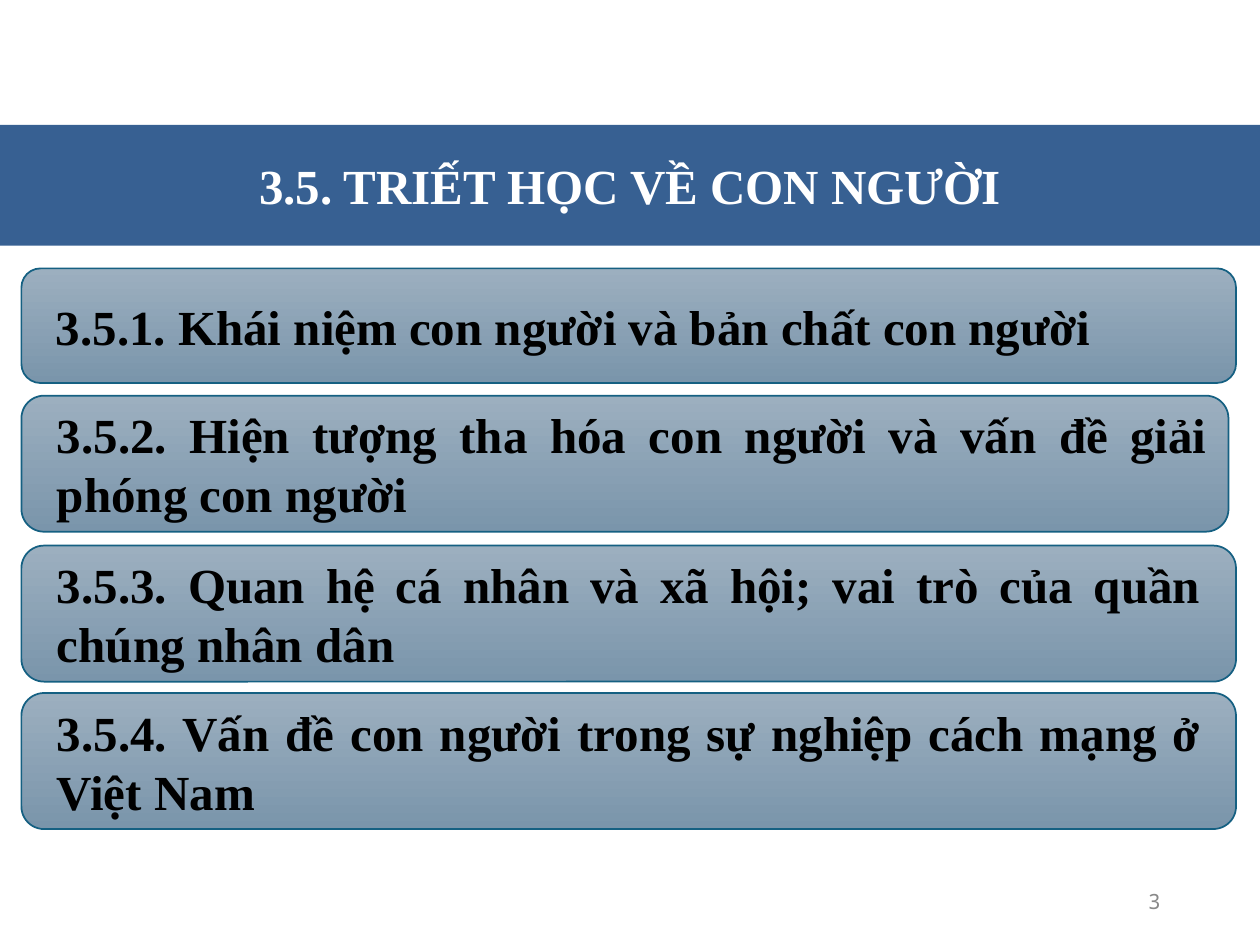
from pptx import Presentation
from pptx.dml.color import RGBColor
from pptx.enum.shapes import MSO_SHAPE as Shape
from pptx.enum.text import MSO_ANCHOR as Anchor, MSO_AUTO_SIZE as AutoSize, PP_ALIGN as Align
from pptx.util import Inches, Pt

WHITE = RGBColor(0xFF, 0xFF, 0xFF)
BLACK = RGBColor(0x00, 0x00, 0x00)
GRAY = RGBColor(0x89, 0x89, 0x89)
BANNER_BLUE = RGBColor(0x37, 0x60, 0x92)
CARD_TOP = RGBColor(0x9C, 0xAF, 0xBF)
CARD_BOTTOM = RGBColor(0x7A, 0x95, 0xAB)
CARD_LINE = RGBColor(0x15, 0x60, 0x82)

SLIDE_WIDTH, SLIDE_HEIGHT = 10, 7.5
CARD_LEFT, CARD_WIDTH = 0.17, 9.64
TEXT_INSET = 0.23

SECTIONS = [
    ("3.5.1. Khái niệm con người và bản chất con người",
     2.13, 0.91, {"align": Align.LEFT}),
    ("3.5.2. Hiện tượng tha hóa con người và vấn đề giải phóng con người",
     3.14, 1.08, {"width": 9.58, "right_inset": 0.12}),
    ("3.5.3. Quan hệ cá nhân và xã hội; vai trò của quần chúng nhân dân",
     4.33, 1.08, {}),
    ("3.5.4. Vấn đề con người trong sự nghiệp cách mạng ở Việt Nam",
     5.5, 1.08, {}),
]


def box(left, top, width, height):
    return [Inches(length) for length in (left, top, width, height)]


def write_text(shape, text, *, size=28, font="Times New Roman", color=BLACK,
               bold=True, align=Align.LEFT, insets=(0.1, 0.05, 0.1, 0.05)):
    frame = shape.text_frame
    frame.word_wrap = True
    frame.auto_size = AutoSize.NONE
    frame.vertical_anchor = Anchor.MIDDLE
    (frame.margin_left, frame.margin_top,
     frame.margin_right, frame.margin_bottom) = map(Inches, insets)
    paragraph = frame.paragraphs[0]
    paragraph.alignment = align
    run = paragraph.add_run()
    run.text = text
    run.font.name = font
    run.font.size = Pt(size)
    run.font.bold = bold
    run.font.color.rgb = color


def add_banner(slide, text):
    title = slide.shapes.title
    title.left, title.top, title.width, title.height = box(0, 0.99, SLIDE_WIDTH, 0.96)
    title.fill.solid()
    title.fill.fore_color.rgb = BANNER_BLUE
    write_text(title, text, color=WHITE, align=Align.CENTER)


def add_card(slide, text, top, height, width=CARD_WIDTH,
             right_inset=TEXT_INSET, align=Align.JUSTIFY):
    card = slide.shapes.add_shape(
        Shape.ROUNDED_RECTANGLE, *box(CARD_LEFT, top, width, height))
    card.shadow.inherit = False
    card.fill.gradient()
    card.fill.gradient_angle = 270
    for stop, color, position in zip(
            card.fill.gradient_stops, (CARD_TOP, CARD_BOTTOM), (0, 1)):
        stop.color.rgb = color
        stop.position = position
    card.line.color.rgb = CARD_LINE
    card.line.width = Pt(1)
    write_text(card, text, align=align, insets=(TEXT_INSET, 0, right_inset, 0))


def add_page_number(slide, number):
    page_number = slide.shapes.add_textbox(*box(7.06, 6.95, 2.25, 0.4))
    write_text(page_number, number, size=12, font="Noto Sans Mono",
               color=GRAY, bold=False, align=Align.RIGHT)


def main():
    presentation = Presentation()
    presentation.slide_width = Inches(SLIDE_WIDTH)
    presentation.slide_height = Inches(SLIDE_HEIGHT)
    slide = presentation.slides.add_slide(
        presentation.slide_layouts.get_by_name("Title Only"))
    add_banner(slide, "3.5. TRIẾT HỌC VỀ CON NGƯỜI")
    for text, top, height, options in SECTIONS:
        add_card(slide, text, top, height, **options)
    add_page_number(slide, "3")
    presentation.save("out.pptx")


if __name__ == "__main__":
    main()
